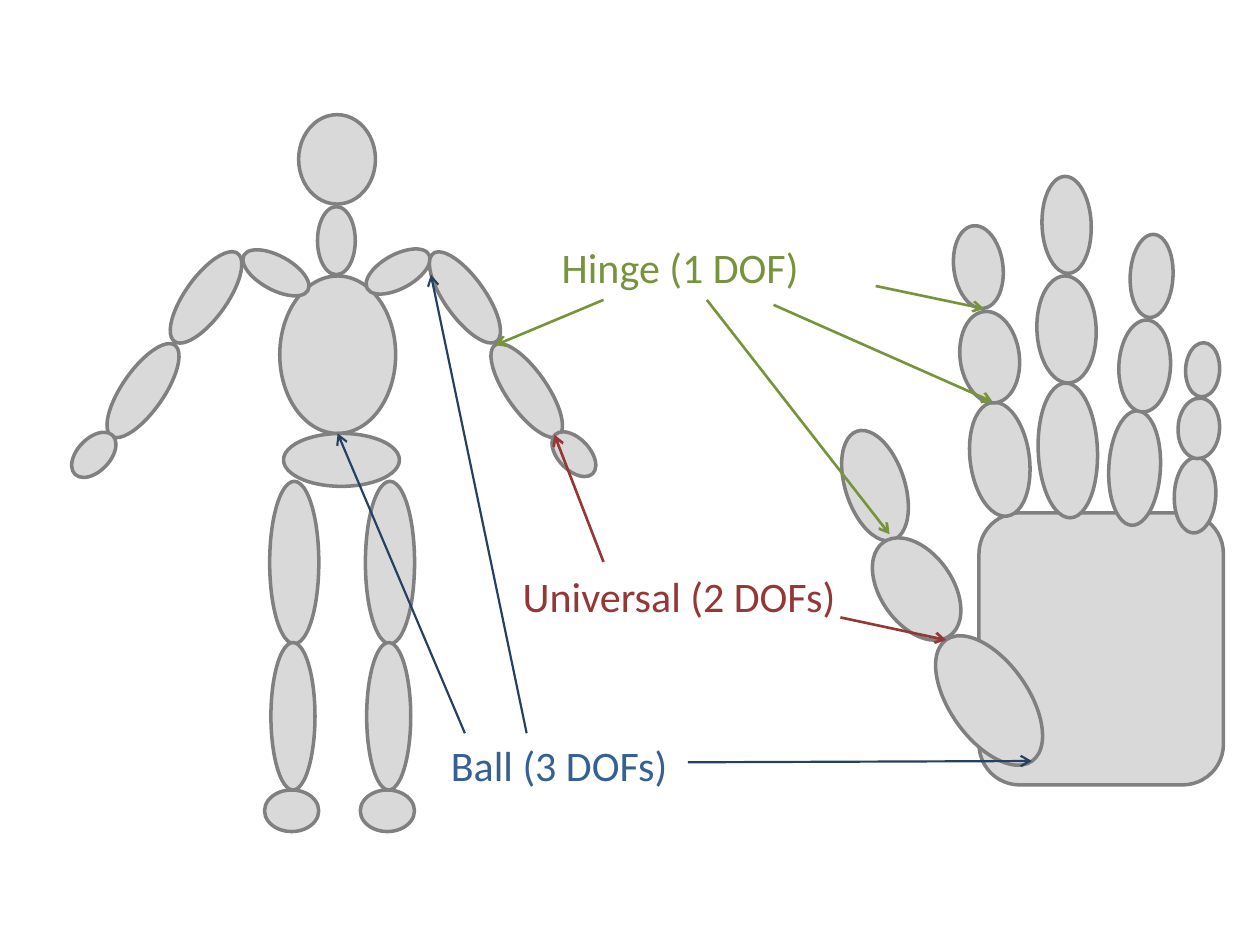
"""Draw a jointed body and hand with arrows to their hinge, universal and ball joints."""
import pptx
import pptx.dml.color
import pptx.enum.shapes
import pptx.enum.text
import pptx.oxml
import pptx.oxml.ns
import pptx.util
from pptx.util import Inches

SHAPE = pptx.enum.shapes.MSO_SHAPE


def color(hex_value):
    return pptx.dml.color.RGBColor.from_string(hex_value)


def add_segment(kind, left, top, width, height, rotation=0):
    segment = slide.shapes.add_shape(
        kind, Inches(left), Inches(top), Inches(width), Inches(height))
    segment.rotation = rotation
    segment.shadow.inherit = False
    segment.fill.solid()
    segment.fill.fore_color.rgb = color("D9D9D9")
    segment.line.color.rgb = color("808080")
    segment.line.width = pptx.util.Pt(2)


deck = pptx.Presentation()
deck.slide_width, deck.slide_height = Inches(10), Inches(7.5)
slide = deck.slides.add_slide(deck.slide_layouts[6])

trunk = [
    (2.22, 2.19, 0.92, 1.25),
    (2.25, 3.44, 0.92, 0.42),
    (2.52, 1.64, 0.3, 0.54),
    (2.37, 0.91, 0.61, 0.71),
]
leg = [
    (2.14, 3.82, 0.39, 1.29),
    (2.15, 5.1, 0.35, 1.17),
    (2.1, 6.27, 0.43, 0.33),
]
leg_gap = 0.76
legs = [(left + side * leg_gap, *rest) for side in range(2) for left, *rest in leg]
arms = [
    (1.9, 2.03, 0.58, 0.27, 28.7),
    (1.47, 1.93, 0.33, 0.86, 215.6),
    (0.97, 2.66, 0.33, 0.88, 214.9),
    (0.53, 3.48, 0.43, 0.26, 313.8),
    (2.88, 2.02, 0.56, 0.27, 331.3),
    (3.53, 1.93, 0.32, 0.86, 144.4),
    (4.02, 2.66, 0.32, 0.88, 145.1),
    (4.34, 3.48, 0.43, 0.25, 46.2),
]
for oval in trunk + legs + arms:
    add_segment(SHAPE.OVAL, *oval)

add_segment(SHAPE.ROUNDED_RECTANGLE, 7.77, 4.07, 1.94, 2.16)
fingers = {
    341.8: [(6.71, 3.4, 0.47, 0.91)],
    352.6: [(7.7, 3.19, 0.47, 0.91), (7.62, 2.47, 0.47, 0.73), (7.57, 1.79, 0.39, 0.66)],
    357.7: [(8.24, 3.04, 0.47, 1.07), (8.23, 2.19, 0.47, 0.85), (8.27, 1.4, 0.39, 0.77)],
    3: [(8.8, 3.26, 0.41, 0.91), (8.88, 2.54, 0.41, 0.73), (8.97, 1.86, 0.34, 0.66)],
    2.9: [(9.32, 3.63, 0.33, 0.6), (9.35, 3.16, 0.33, 0.48), (9.41, 2.72, 0.27, 0.43)],
    324.7: [(6.99, 4.22, 0.57, 0.91), (7.54, 4.97, 0.62, 1.18)],
}
for tilt, bones in fingers.items():
    for bone in bones:
        add_segment(SHAPE.OVAL, *bone, tilt)

joints = [
    ("Hinge (1 DOF)", (4.36, 1.87, 2.52), "77933C", "77933C", 1.5, [
        (6.95, 2.27, 7.81, 2.45),
        (4.79, 2.38, 3.93, 2.74),
        (5.61, 2.38, 7.06, 4.24),
        (6.14, 2.42, 7.88, 3.19),
    ]),
    ("Ball (3 DOFs)", (3.48, 5.82, 2.27), "376092", "254061", 1.25, [
        (4.18, 5.82, 3.42, 2.18),
        (5.46, 6.05, 8.19, 6.04),
        (3.69, 5.82, 2.68, 3.44),
    ]),
    ("Universal (2 DOFs)", (4.05, 4.48, 2.81), "953735", "953735", 1.5, [
        (6.67, 4.9, 7.51, 5.08),
        (4.79, 4.46, 4.4, 3.45),
    ]),
]
label_font = {"name": "Calibri", "size": pptx.util.Pt(24)}
for wording, (left, top, width), label_color, arrow_color, weight, arrows in joints:
    label = slide.shapes.add_textbox(
        Inches(left), Inches(top), Inches(width), Inches(0.5))
    label.text_frame.word_wrap = True
    label.text_frame.auto_size = pptx.enum.text.MSO_AUTO_SIZE.SHAPE_TO_FIT_TEXT
    run = label.text_frame.paragraphs[0].add_run()
    run.text = wording
    for attribute, value in label_font.items():
        setattr(run.font, attribute, value)
    run.font.color.rgb = color(label_color)

    for ends in arrows:
        arrow = slide.shapes.add_connector(
            pptx.enum.shapes.MSO_CONNECTOR.STRAIGHT, *map(Inches, ends))
        arrow.line.color.rgb = color(arrow_color)
        arrow.line.width = pptx.util.Pt(weight)
        outline = arrow.line._get_or_add_ln()
        outline.append(pptx.oxml.parse_xml(
            f'<a:tailEnd {pptx.oxml.ns.nsdecls("a")} type="arrow"/>'))
        arrow._element.spPr.append(pptx.oxml.parse_xml(
            f'<a:effectLst {pptx.oxml.ns.nsdecls("a")}/>'))

deck.save("out.pptx")
